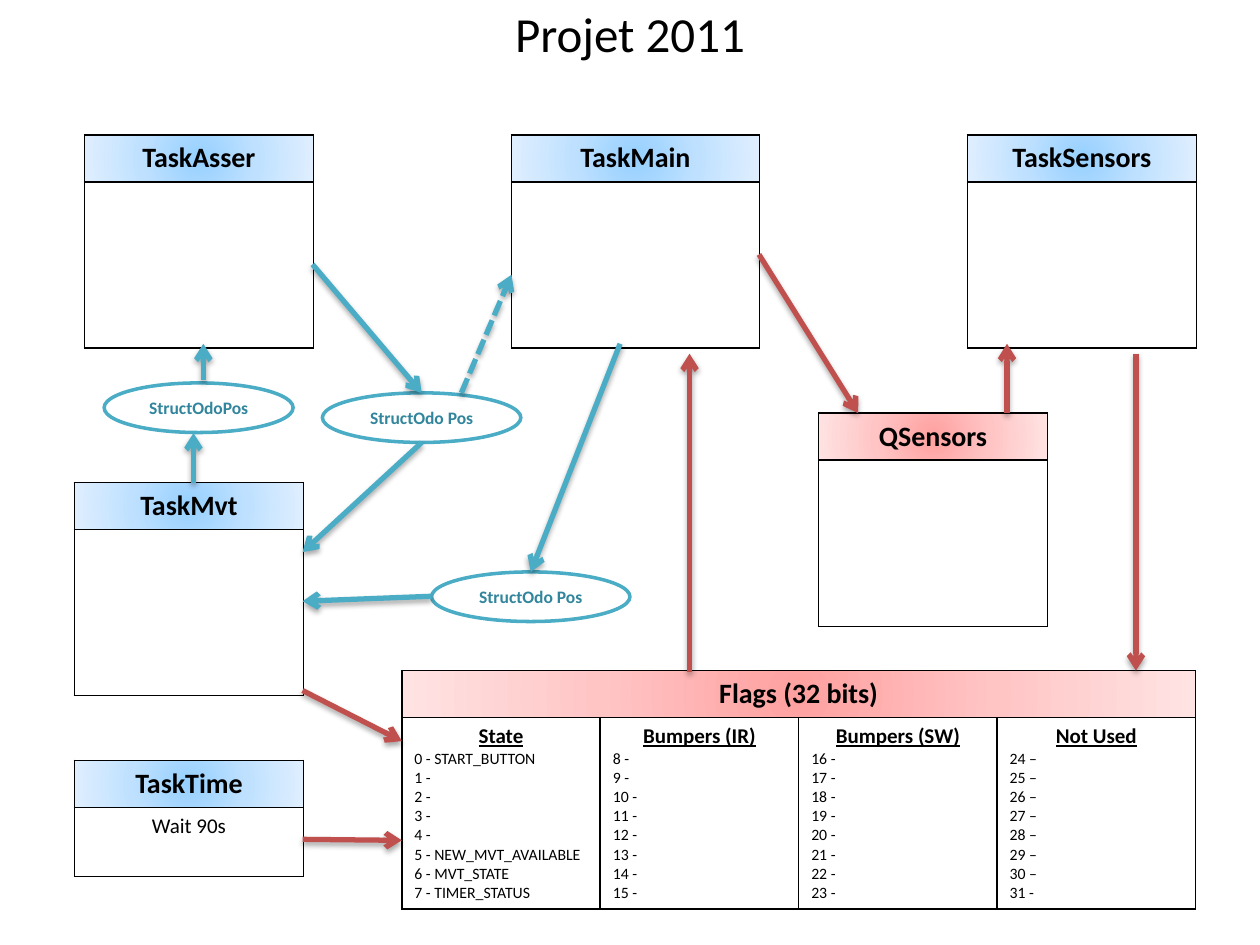
from lxml.etree import SubElement
from pptx import Presentation
from pptx.dml.color import RGBColor
from pptx.enum.dml import MSO_LINE
from pptx.enum.shapes import MSO_CONNECTOR, MSO_SHAPE
from pptx.enum.text import MSO_ANCHOR, PP_ALIGN
from pptx.oxml import parse_xml
from pptx.oxml.ns import qn
from pptx.util import Cm, Pt

NAMESPACE = 'xmlns:a="http://schemas.openxmlformats.org/drawingml/2006/main"'
BLUE = ("96D0FF", "BFE1FF", "E0EFFF")
RED = ("FFA0A0", "FFC5C5", "FFE3E3")
TEAL = "4BACC6"
BRICK = "C0504D"
HEADER_HEIGHT = 0.94


def color(value):
    return RGBColor.from_string(value)


def write_text(para, text, size, bold=False, underline=False, ink="000000", align=PP_ALIGN.CENTER):
    para.alignment = align
    span = para.add_run()
    span.text = text
    span.font.name = "Calibri"
    span.font.size = Pt(size)
    span.font.bold = bold
    span.font.underline = underline
    span.font.color.rgb = color(ink)


deck = Presentation()
deck.slide_width, deck.slide_height = Cm(25.4), Cm(19.05)
page = deck.slides.add_slide(deck.slide_layouts[0])
subtitle = page.placeholders[1].element
subtitle.getparent().remove(subtitle)

title = page.shapes.title
title.left, title.top, title.width, title.height = Cm(0), Cm(0), Cm(25.4), Cm(1.32)
title.text_frame.vertical_anchor = MSO_ANCHOR.MIDDLE
write_text(title.text_frame.paragraphs[0], "Projet 2011", 28)

tables = {}
for name, left, top, width, body_height, columns, shades in [
    ("TaskMain", 10.31, 2.72, 5, 3.35, 1, BLUE),
    ("TaskSensors", 19.5, 2.72, 4.62, 3.35, 1, BLUE),
    ("TaskAsser", 1.7, 2.72, 4.62, 3.35, 1, BLUE),
    ("TaskMvt", 1.5, 9.73, 4.62, 3.35, 1, BLUE),
    ("TaskTime", 1.5, 15.33, 4.62, 1.4, 1, BLUE),
    ("QSensors", 16.5, 8.33, 4.62, 3.35, 1, RED),
    ("Flags (32 bits)", 8.1, 13.52, 16, 3.84, 4, RED),
]:
    frame = page.shapes.add_table(
        2, columns, Cm(left), Cm(top), Cm(width), Cm(HEADER_HEIGHT + body_height))
    table = tables[name] = frame.table
    table.first_row = table.horz_banding = False
    table.rows[0].height, table.rows[1].height = Cm(HEADER_HEIGHT), Cm(body_height)
    if columns > 1:
        table.cell(0, 0).merge(table.cell(0, columns - 1))
    stops = "".join(
        f'<a:gs pos="{position}"><a:srgbClr val="{shade}"/></a:gs>'
        for position, shade in zip((0, 50000, 100000), shades))
    for row in range(2):
        for column in range(columns):
            cell = table.cell(row, column)
            cell.fill.background()
            properties = cell._tc.get_or_add_tcPr()
            for index, side in enumerate(("lnL", "lnR", "lnT", "lnB")):
                properties.insert(index, parse_xml(
                    f'<a:{side} {NAMESPACE} w="12700"><a:solidFill>'
                    f'<a:srgbClr val="000000"/></a:solidFill></a:{side}>'))
            if row == 0:
                properties.remove(properties.find(qn("a:noFill")))
                properties.append(parse_xml(
                    f'<a:gradFill {NAMESPACE}><a:gsLst>{stops}</a:gsLst><a:path path="circle">'
                    '<a:fillToRect l="50000" t="50000" r="50000" b="50000"/>'
                    '</a:path></a:gradFill>'))
    write_text(table.cell(0, 0).text_frame.paragraphs[0], name, 16, bold=True)

write_text(tables["TaskTime"].cell(1, 0).text_frame.paragraphs[0], "Wait 90s", 12)

flag_names = {0: "START_BUTTON", 5: "NEW_MVT_AVAILABLE", 6: "MVT_STATE", 7: "TIMER_STATUS"}
for column, heading in enumerate(("State", "Bumpers (IR)", "Bumpers (SW)", "Not Used")):
    flags = tables["Flags (32 bits)"].cell(1, column).text_frame
    write_text(flags.paragraphs[0], heading, 12, bold=True, underline=True)
    for bit in range(8 * column, 8 * column + 8):
        dash = "–" if 24 <= bit <= 30 else "-"
        label = f"{bit} {dash} {flag_names.get(bit, '')}".strip()
        write_text(flags.add_paragraph(), label, 9, align=PP_ALIGN.LEFT)

for text, left, top, width in [
    ("StructOdoPos", 2.1, 7.72, 3.81),
    ("StructOdo Pos", 6.5, 7.92, 4),
    ("StructOdo Pos", 8.7, 11.53, 4),
]:
    oval = page.shapes.add_shape(MSO_SHAPE.OVAL, Cm(left), Cm(top), Cm(width), Cm(1))
    oval.shadow.inherit = False
    oval.fill.solid()
    oval.fill.fore_color.rgb = color("FFFFFF")
    oval.line.color.rgb = color(TEAL)
    oval.line.width = Pt(2)
    oval.text_frame.vertical_anchor = MSO_ANCHOR.MIDDLE
    write_text(oval.text_frame.paragraphs[0], text, 10, bold=True, ink="31859C")

for stroke, dashed, start_x, start_y, end_x, end_y in [
    (BRICK, False, 6.1, 16.92, 8.1, 16.94),
    (BRICK, False, 6.1, 13.92, 8.1, 14.94),
    (BRICK, False, 13.9, 13.54, 13.9, 7.13),
    (BRICK, False, 15.3, 5.13, 17.3, 8.33),
    (BRICK, False, 20.3, 8.33, 20.3, 6.93),
    (BRICK, False, 22.9, 7.13, 22.9, 13.52),
    (TEAL, False, 6.3, 5.33, 8.5, 7.92),
    (TEAL, False, 8.5, 8.92, 6.1, 11.13),
    (TEAL, True, 9.3, 7.92, 10.31, 5.54),
    (TEAL, False, 4.1, 7.67, 4.1, 6.93),
    (TEAL, False, 3.9, 9.73, 3.9, 8.73),
    (TEAL, False, 8.7, 12.02, 6.1, 12.12),
    (TEAL, False, 12.5, 6.93, 10.7, 11.53),
]:
    arrow = page.shapes.add_connector(
        MSO_CONNECTOR.STRAIGHT, Cm(start_x), Cm(start_y), Cm(end_x), Cm(end_y))
    arrow.line.color.rgb = color(stroke)
    arrow.line.width = Pt(3)
    if dashed:
        arrow.line.dash_style = MSO_LINE.SQUARE_DOT
    SubElement(arrow.line._get_or_add_ln(), qn("a:tailEnd"), type="arrow")
    arrow._element.spPr.append(parse_xml(
        f'<a:effectLst {NAMESPACE}><a:outerShdw blurRad="40000" dist="23000" dir="5400000" '
        'rotWithShape="0"><a:srgbClr val="000000"><a:alpha val="35000"/></a:srgbClr>'
        '</a:outerShdw></a:effectLst>'))

deck.save("out.pptx")
